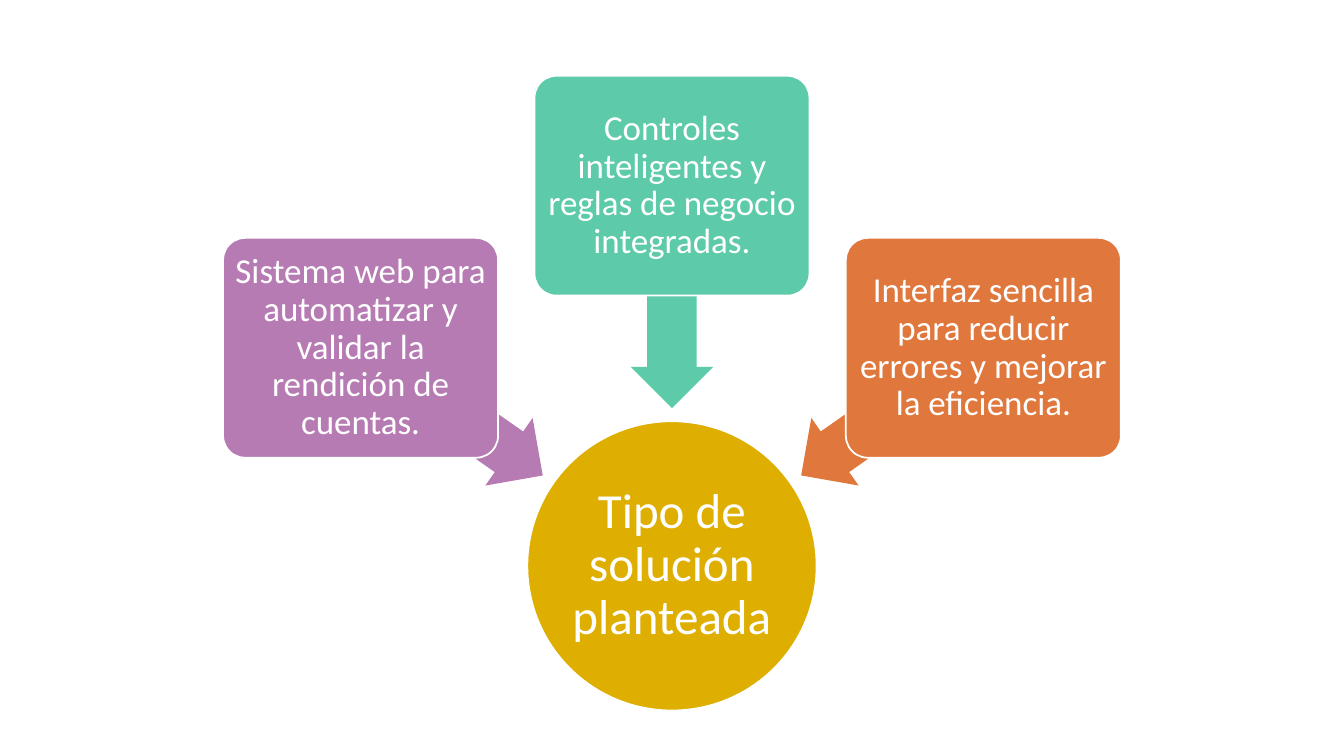
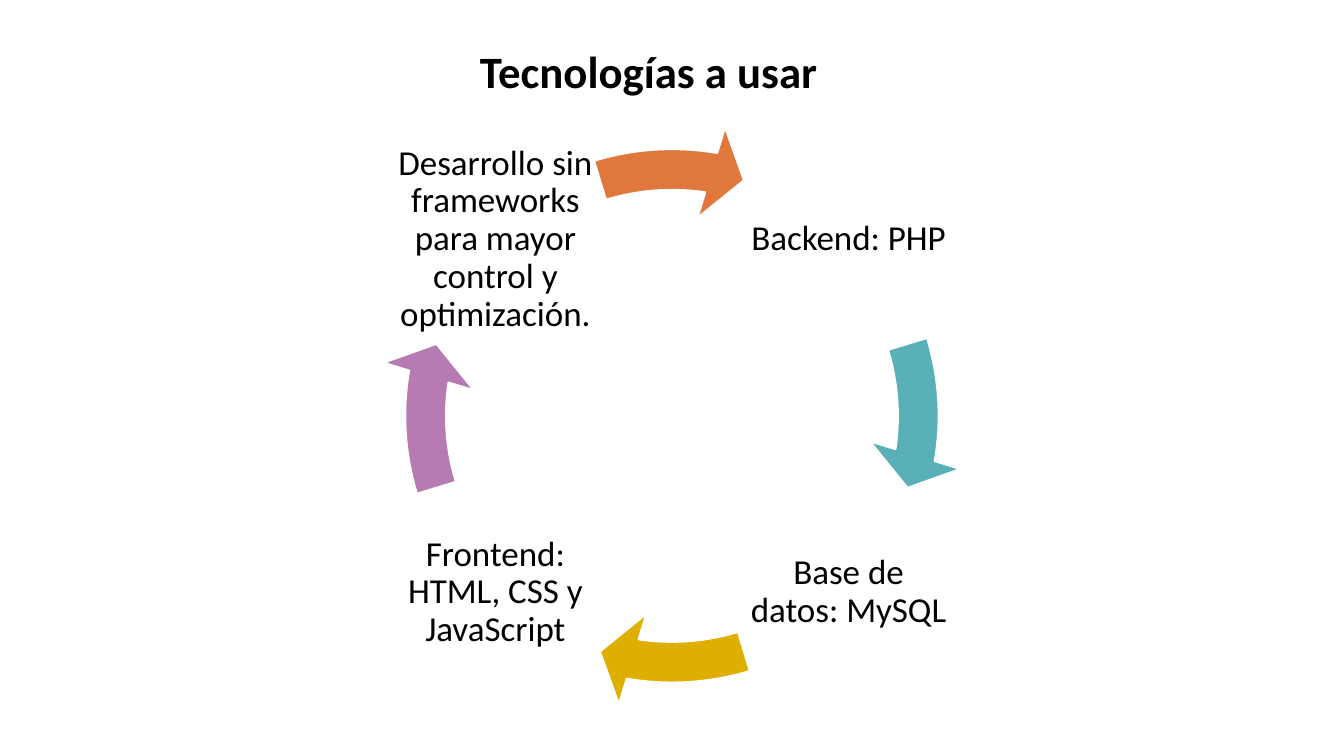
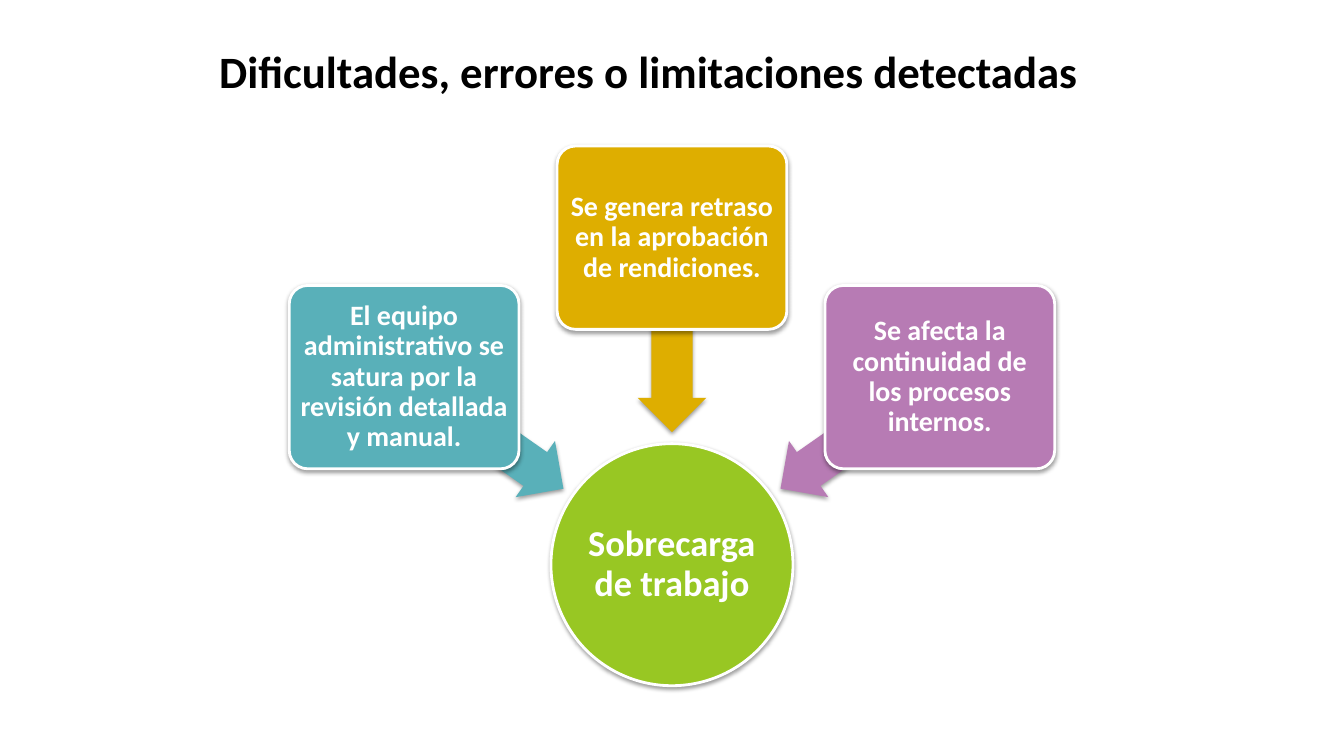
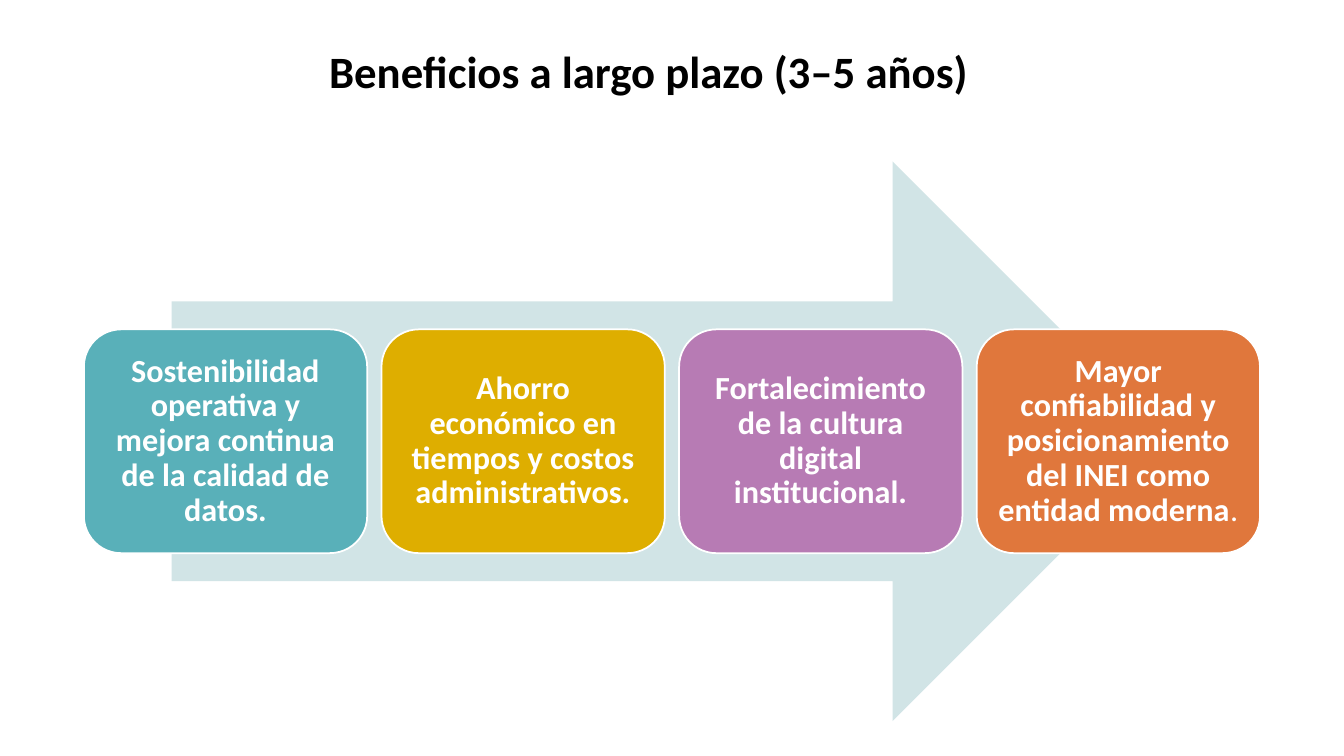
from dataclasses import dataclass
from math import cos, radians, sin

from lxml import etree
from pptx import Presentation
from pptx.dml.color import RGBColor
from pptx.enum import shapes, text
from pptx.oxml.ns import qn
from pptx.shapes.autoshape import Shape
from pptx.slide import Slide
from pptx.util import Cm, Pt

# Shared style
WHITE = RGBColor(0xFF, 0xFF, 0xFF)
BLACK = RGBColor(0x00, 0x00, 0x00)
TEAL = RGBColor(0x59, 0xB0, 0xB9)
PALE_TEAL = RGBColor(0xD1, 0xE4, 0xE6)
GOLD = RGBColor(0xDE, 0xAE, 0x00)
PURPLE = RGBColor(0xB7, 0x7B, 0xB4)
ORANGE = RGBColor(0xE0, 0x77, 0x3C)
MINT = RGBColor(0x5D, 0xCA, 0xAA)
LIME = RGBColor(0x98, 0xC7, 0x23)
FONT = "Calibri"
SLIDE_WIDTH, SLIDE_HEIGHT = 33.87, 19.05
CENTER_X = SLIDE_WIDTH / 2
KIND = shapes.MSO_SHAPE


@dataclass(frozen=True)
class Item:
    words: str
    color: RGBColor
    plain_end: str = ""


@dataclass(frozen=True)
class Radial:
    """Measures in cm of a hub with cards around it."""
    hub_size: float
    hub_y: float
    hub_points: int
    card_width: float
    card_height: float
    card_radius: float
    card_points: int
    card_inset: float
    arrow_width: float
    arrow_height: float
    arrow_radius: float
    outline: float
    bold: bool = False
    shadow: bool = False


# Drawing functions
def write(shape: Shape, words: str, *, size: int, color: RGBColor = WHITE,
          bold: bool = False, inset: float = 0.25, spacing: float = 0.9,
          plain_end: str = "") -> None:
    frame = shape.text_frame
    frame.word_wrap = True
    frame.vertical_anchor = text.MSO_ANCHOR.MIDDLE
    frame.margin_left = frame.margin_right = Cm(inset)
    frame.margin_top = frame.margin_bottom = Cm(inset)
    paragraph = frame.paragraphs[0]
    paragraph.alignment = text.PP_ALIGN.CENTER
    paragraph.line_spacing = spacing
    for part, heavy in ((words, bold), (plain_end, False)):
        if part:
            run = paragraph.add_run()
            run.text = part
            run.font.name = FONT
            run.font.size = Pt(size)
            run.font.bold = heavy
            run.font.color.rgb = color


def add_shadow(shape: Shape) -> None:
    effects = shape._element.spPr.find(qn("a:effectLst"))
    shadow = etree.SubElement(effects, qn("a:outerShdw"), blurRad="40000",
                              dist="20000", dir="5400000", rotWithShape="0")
    color = etree.SubElement(shadow, qn("a:srgbClr"), val="000000")
    etree.SubElement(color, qn("a:alpha"), val="38000")


def add_figure(slide: Slide, kind: KIND, x: float, y: float, width: float,
               height: float, color: RGBColor, *, outline: float = 0,
               adjustments: tuple[float, ...] = (), rotation: float = 0,
               shadow: bool = False) -> Shape:
    """Draw a preset shape centred on x, y (cm)."""
    shape = slide.shapes.add_shape(kind, Cm(x - width / 2), Cm(y - height / 2),
                                   Cm(width), Cm(height))
    for index, value in enumerate(adjustments):
        shape.adjustments[index] = value
    shape.rotation = rotation
    shape.fill.solid()
    shape.fill.fore_color.rgb = color
    if outline:
        shape.line.color.rgb = WHITE
        shape.line.width = Pt(outline)
    else:
        shape.line.fill.background()
    shape.shadow.inherit = False
    if shadow:
        add_shadow(shape)
    return shape


def add_title(slide: Slide, words: str) -> None:
    box = slide.shapes.add_textbox(Cm(1.55), Cm(0.86), Cm(29.6), Cm(1.86))
    write(box, words, size=32, color=BLACK, bold=True, spacing=1)


def add_radial(slide: Slide, hub: Item, cards: list[Item], style: Radial) -> None:
    circle = add_figure(slide, KIND.OVAL, CENTER_X, style.hub_y, style.hub_size,
                        style.hub_size, hub.color, outline=style.outline,
                        shadow=style.shadow)
    write(circle, hub.words, size=style.hub_points, bold=style.bold, inset=0)
    for angle, card in zip((215, 270, 325), cards):
        across, down = cos(radians(angle)), sin(radians(angle))
        add_figure(slide, KIND.LEFT_ARROW, CENTER_X + style.arrow_radius * across,
                   style.hub_y + style.arrow_radius * down, style.arrow_width,
                   style.arrow_height, card.color, adjustments=(0.6, 0.5),
                   rotation=angle, shadow=style.shadow)
        box = add_figure(slide, KIND.ROUNDED_RECTANGLE,
                         CENTER_X + style.card_radius * across,
                         style.hub_y + style.card_radius * down,
                         style.card_width, style.card_height, card.color,
                         adjustments=(0.1,), outline=style.outline,
                         shadow=style.shadow)
        write(box, card.words, size=style.card_points, bold=style.bold,
              inset=style.card_inset)


# Slides
def build_solution(slide: Slide) -> None:
    style = Radial(hub_size=7.29, hub_y=14.26, hub_points=35, card_width=6.93,
                   card_height=5.54, card_radius=9.58, card_points=25,
                   card_inset=0.12, arrow_width=5.61, arrow_height=2.08,
                   arrow_radius=6.78, outline=1.25)
    add_radial(slide, Item("Tipo de solución planteada", GOLD), [
        Item("Sistema web para automatizar y validar la rendición de cuentas.", PURPLE),
        Item("Controles inteligentes y reglas de negocio integradas.", MINT),
        Item("Interfaz sencilla para reducir errores y mejorar la eficiencia.", ORANGE),
    ], style)


def build_technologies(slide: Slide) -> None:
    add_title(slide, "Tecnologías a usar")
    center_y, offset, label_size, ring_size = 10.48, 4.45, 5.23, 14.78
    full_turn, quarter = 216, 54  # arrow adjustments count 0.6 per degree
    steps = [
        (1, -1, Item("Backend: PHP", TEAL)),
        (1, 1, Item("Base de datos: MySQL", GOLD)),
        (-1, 1, Item("Frontend: HTML, CSS y JavaScript", PURPLE)),
        (-1, -1, Item("Desarrollo sin frameworks para mayor control y optimización.",
                      ORANGE)),
    ]
    for index, (across, down, step) in enumerate(steps):
        label = slide.shapes.add_textbox(
            Cm(CENTER_X + across * offset - label_size / 2),
            Cm(center_y + down * offset - label_size / 2),
            Cm(label_size), Cm(label_size))
        write(label, step.words, size=25, color=BLACK, inset=0.08)
        turn = index * quarter
        add_figure(slide, KIND.CIRCULAR_ARROW, CENTER_X, center_y, ring_size,
                   ring_size, step.color, outline=1.25,
                   adjustments=(0.069, 4.646, 5.526 + turn,
                                (205.828 + turn) % full_turn, 0.08))


def build_difficulties(slide: Slide) -> None:
    add_title(slide, "Dificultades, errores o limitaciones detectadas")
    style = Radial(hub_size=6.1, hub_y=14.23, hub_points=26, card_width=5.79,
                   card_height=4.62, card_radius=8.24, card_points=20,
                   card_inset=0.1, arrow_width=4.9, arrow_height=1.73,
                   arrow_radius=5.79, outline=2, bold=True, shadow=True)
    add_radial(slide, Item("Sobrecarga de trabajo", LIME), [
        Item("El equipo administrativo se satura por la revisión detallada y manual.",
             TEAL),
        Item("Se genera retraso en la aprobación de rendiciones.", GOLD),
        Item("Se afecta la continuidad de los procesos internos.", PURPLE),
    ], style)


def build_benefits(slide: Slide) -> None:
    add_title(slide, "Beneficios a largo plazo (3–5 años)")
    center_y, pitch = 11.12, 7.5
    add_figure(slide, KIND.RIGHT_ARROW, CENTER_X, center_y, 25.22, 14.1, PALE_TEAL)
    benefits = [
        Item("Sostenibilidad operativa y mejora continua de la calidad de datos.", TEAL),
        Item("Ahorro económico en tiempos y costos administrativos.", GOLD),
        Item("Fortalecimiento de la cultura digital institucional.", PURPLE),
        Item("Mayor confiabilidad y posicionamiento del INEI como entidad moderna",
             ORANGE, plain_end="."),
    ]
    for index, benefit in enumerate(benefits):
        x = CENTER_X + (index - (len(benefits) - 1) / 2) * pitch
        card = add_figure(slide, KIND.ROUNDED_RECTANGLE, x, center_y, 7.14, 5.64,
                          benefit.color, outline=1.25)
        write(card, benefit.words, size=23, bold=True, inset=0.24,
              plain_end=benefit.plain_end)


def main() -> None:
    presentation = Presentation()
    presentation.slide_width = Cm(SLIDE_WIDTH)
    presentation.slide_height = Cm(SLIDE_HEIGHT)
    blank = presentation.slide_layouts[6]
    for build in (build_solution, build_technologies, build_difficulties,
                  build_benefits):
        build(presentation.slides.add_slide(blank))
    presentation.save("out.pptx")


if __name__ == "__main__":
    main()
